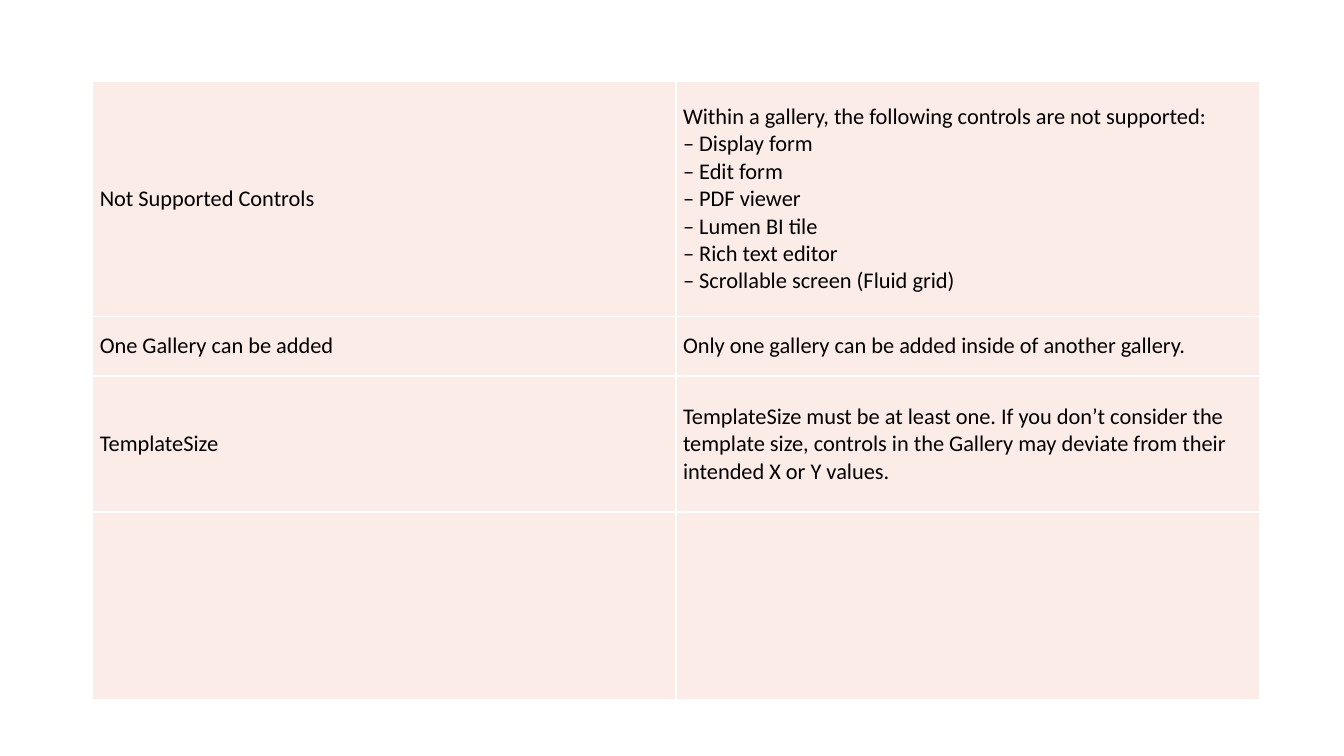
from lxml.etree import SubElement
from pptx import Presentation
from pptx.dml.color import RGBColor
from pptx.enum.text import MSO_ANCHOR as Anchor
from pptx.oxml.ns import qn
from pptx.util import Inches, Pt

BLACK = RGBColor(0x00, 0x00, 0x00)
WHITE = RGBColor(0xFF, 0xFF, 0xFF)
PINK = RGBColor(0xFC, 0xEC, 0xE8)

ROWS = [
    (2.33, "Not Supported Controls",
     "Within a gallery, the following controls are not supported:\n"
     "– Display form\n"
     "– Edit form\n"
     "– PDF viewer\n"
     "– Lumen BI tile\n"
     "– Rich text editor\n"
     "– Scrollable screen (Fluid grid)"),
    (0.59, "One Gallery can be added",
     "Only one gallery can be added inside of another gallery."),
    (1.35, "TemplateSize",
     "TemplateSize must be at least one. If you don’t consider the template "
     "size, controls in the Gallery may deviate from their intended X or Y values."),
    (1.86, "", ""),
]


def add_borders(cell):
    props = cell._tc.get_or_add_tcPr()
    for side in ("a:lnL", "a:lnR", "a:lnT", "a:lnB"):
        line = SubElement(props, qn(side), w=str(Pt(1)))
        fill = SubElement(line, qn("a:solidFill"))
        SubElement(fill, qn("a:srgbClr"), val=str(WHITE))


deck = Presentation()
deck.slide_width = Inches(13.33)
deck.slide_height = Inches(7.5)
slide = deck.slides.add_slide(deck.slide_layouts[6])

frame = slide.shapes.add_table(len(ROWS), 2, Inches(0.92), Inches(0.81),
                               Inches(11.57), Inches(6.13))
table = frame.table
table.first_row = False
table.horz_banding = False
for col in table.columns:
    col.width = Inches(5.785)

for row, (height, *texts) in zip(table.rows, ROWS):
    row.height = Inches(height)
    for cell, text in zip(row.cells, texts):
        add_borders(cell)
        cell.fill.solid()
        cell.fill.fore_color.rgb = PINK
        cell.vertical_anchor = Anchor.MIDDLE
        cell.margin_left = cell.margin_right = Inches(0.07)
        cell.margin_top = cell.margin_bottom = Inches(0.03)
        para = cell.text_frame.paragraphs[0]
        para.text = text
        for run in para.runs:
            run.font.name = "Calibri"
            run.font.size = Pt(16)
            run.font.color.rgb = BLACK

deck.save("out.pptx")
